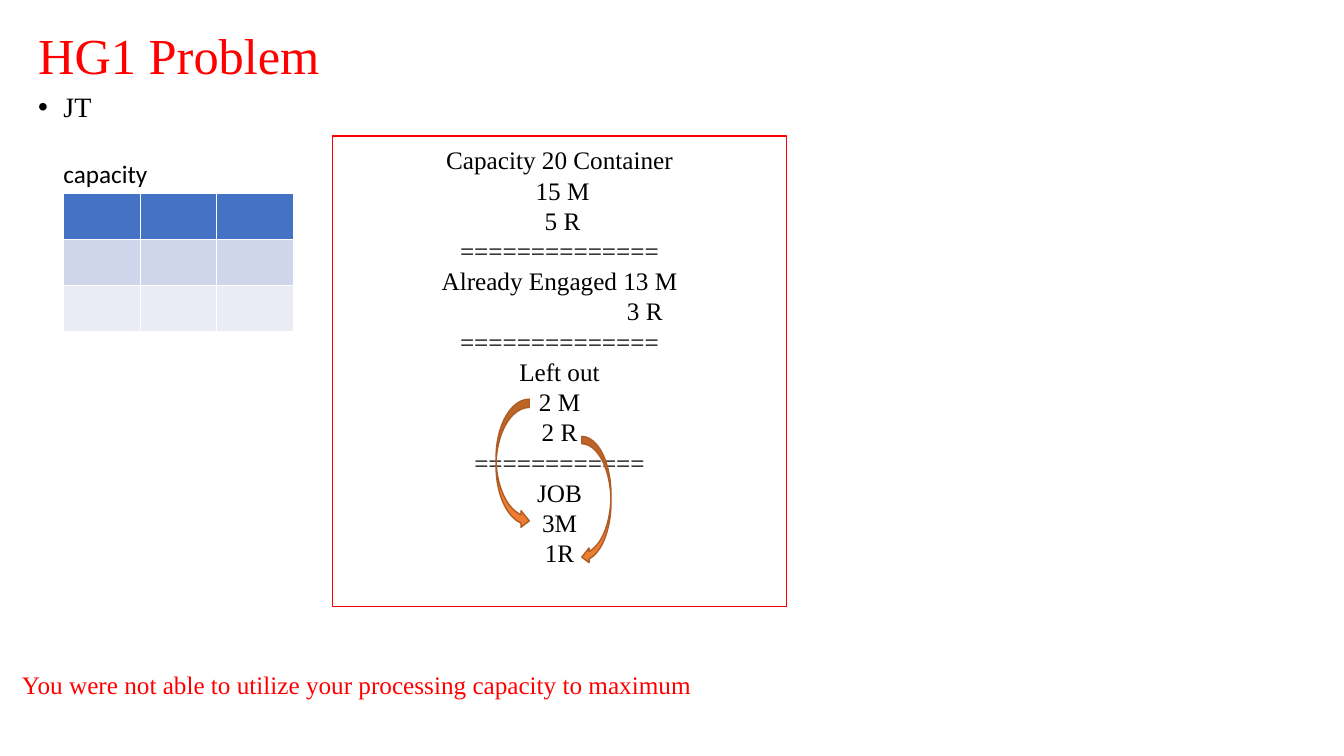
"""Build the HG1 Problem slide about container capacity."""
from dataclasses import dataclass

import pptx
import pptx.dml.color
import pptx.enum.shapes
import pptx.enum.text
import pptx.oxml.ns
import pptx.shapes.autoshape
import pptx.slide
import pptx.text.text
import pptx.util
from lxml import etree

Inches = pptx.util.Inches
RGBColor = pptx.dml.color.RGBColor
Shape = pptx.enum.shapes.MSO_SHAPE
Anchor = pptx.enum.text.MSO_ANCHOR

RED = RGBColor(0xFF, 0x00, 0x00)
BLACK = RGBColor(0x00, 0x00, 0x00)
WHITE = RGBColor(0xFF, 0xFF, 0xFF)
ORANGE = RGBColor(0xED, 0x7D, 0x31)
BROWN = RGBColor(0xAF, 0x5C, 0x24)
ROW_COLORS = (
    RGBColor(0x44, 0x72, 0xC4),
    RGBColor(0xCF, 0xD5, 0xEA),
    RGBColor(0xE9, 0xEB, 0xF5),
)
SERIF = "Times New Roman"


@dataclass(frozen=True)
class Box:
    left: float
    top: float
    width: float
    height: float

    def lengths(self) -> tuple[int, int, int, int]:
        return Inches(self.left), Inches(self.top), Inches(self.width), Inches(self.height)


@dataclass(frozen=True)
class Label:
    text: str
    box: Box
    size: int = 18
    color: RGBColor = BLACK
    font: str = SERIF
    anchor: Anchor = Anchor.TOP
    line_spacing: float = 1.0
    wrap: bool = True
    bullet: bool = False


@dataclass(frozen=True)
class Figure:
    preset: Shape
    box: Box
    fill: RGBColor
    line: RGBColor


@dataclass(frozen=True)
class CapacityLine:
    text: str
    indent: float = 0


LABELS = (
    Label("HG1 Problem", Box(0.28, 0.16, 12.74, 0.84), 36, RED,
          anchor=Anchor.MIDDLE, line_spacing=0.9),
    Label("JT", Box(0.28, 0.88, 1.92, 0.47), 20, line_spacing=0.9, bullet=True),
    Label("capacity", Box(0.53, 1.52, 1.11, 0.4), font="Calibri", wrap=False),
    Label("You were not able to utilize your processing capacity to maximum",
          Box(0.12, 6.59, 8.74, 0.4), color=RED),
)
CAPACITY_TABLE = Box(0.63, 1.92, 2.28, 1.37)
CAPACITY_PANEL = Figure(Shape.RECTANGLE, Box(3.3, 1.35, 4.5, 4.67), WHITE, RED)
ARROWS = (
    Figure(Shape.CURVED_RIGHT_ARROW, Box(4.92, 3.96, 0.33, 1.29), ORANGE, BROWN),
    Figure(Shape.CURVED_LEFT_ARROW, Box(5.77, 4.33, 0.29, 1.27), ORANGE, BROWN),
)
CAPACITY_LINES = (
    CapacityLine("Capacity 20 Container"),
    CapacityLine("15 M", 0.06),
    CapacityLine("5 R", 0.06),
    CapacityLine("=" * 14),
    CapacityLine("Already Engaged 13 M"),
    CapacityLine("3 R", 1.69),
    CapacityLine("=" * 14),
    CapacityLine("Left out"),
    CapacityLine("2 M"),
    CapacityLine("2 R"),
    CapacityLine("=" * 12),
    CapacityLine("JOB"),
    CapacityLine("3M"),
    CapacityLine("1R"),
)


def set_indent(paragraph: pptx.text.text._Paragraph, left: float, first: float = 0) -> None:
    properties = paragraph._p.get_or_add_pPr()
    properties.set("marL", str(Inches(left)))
    properties.set("indent", str(Inches(first)))


def add_bullet(paragraph: pptx.text.text._Paragraph) -> None:
    set_indent(paragraph, 0.25, -0.25)
    properties = paragraph._p.get_or_add_pPr()
    etree.SubElement(properties, pptx.oxml.ns.qn("a:buFont")).set("typeface", "Arial")
    etree.SubElement(properties, pptx.oxml.ns.qn("a:buChar")).set("char", "•")


def style_runs(paragraph: pptx.text.text._Paragraph, font: str, size: int, color: RGBColor) -> None:
    for run in paragraph.runs:
        run.font.name = font
        run.font.size = pptx.util.Pt(size)
        run.font.color.rgb = color


def add_label(slide: pptx.slide.Slide, label: Label) -> None:
    text_frame = slide.shapes.add_textbox(*label.box.lengths()).text_frame
    text_frame.text = label.text
    text_frame.word_wrap = label.wrap
    text_frame.vertical_anchor = label.anchor
    paragraph = text_frame.paragraphs[0]
    paragraph.line_spacing = label.line_spacing
    if label.bullet:
        add_bullet(paragraph)
    style_runs(paragraph, label.font, label.size, label.color)


def add_figure(slide: pptx.slide.Slide, figure: Figure) -> pptx.shapes.autoshape.Shape:
    shape = slide.shapes.add_shape(figure.preset, *figure.box.lengths())
    shape.shadow.inherit = False
    shape.fill.solid()
    shape.fill.fore_color.rgb = figure.fill
    shape.line.color.rgb = figure.line
    shape.line.width = pptx.util.Pt(1)
    return shape


def add_capacity_panel(slide: pptx.slide.Slide) -> None:
    text_frame = add_figure(slide, CAPACITY_PANEL).text_frame
    text_frame.word_wrap = True
    text_frame.vertical_anchor = Anchor.MIDDLE
    text_frame.margin_bottom = Inches(0.35)
    text_frame.text = "\n".join(line.text for line in CAPACITY_LINES)
    for paragraph, line in zip(text_frame.paragraphs, CAPACITY_LINES):
        paragraph.alignment = pptx.enum.text.PP_ALIGN.CENTER
        set_indent(paragraph, line.indent)
        style_runs(paragraph, SERIF, 18, BLACK)


def add_capacity_table(slide: pptx.slide.Slide) -> None:
    table = slide.shapes.add_table(len(ROW_COLORS), 3, *CAPACITY_TABLE.lengths()).table
    for row, color in zip(table.rows, ROW_COLORS):
        for cell in row.cells:
            cell.fill.solid()
            cell.fill.fore_color.rgb = color


def main() -> None:
    presentation = pptx.Presentation()
    presentation.slide_width = Inches(13.33)
    presentation.slide_height = Inches(7.5)
    slide = presentation.slides.add_slide(presentation.slide_layouts[6])
    add_capacity_table(slide)
    add_capacity_panel(slide)
    for label in LABELS:
        add_label(slide, label)
    for arrow in ARROWS:
        add_figure(slide, arrow)
    presentation.save("out.pptx")


if __name__ == "__main__":
    main()
